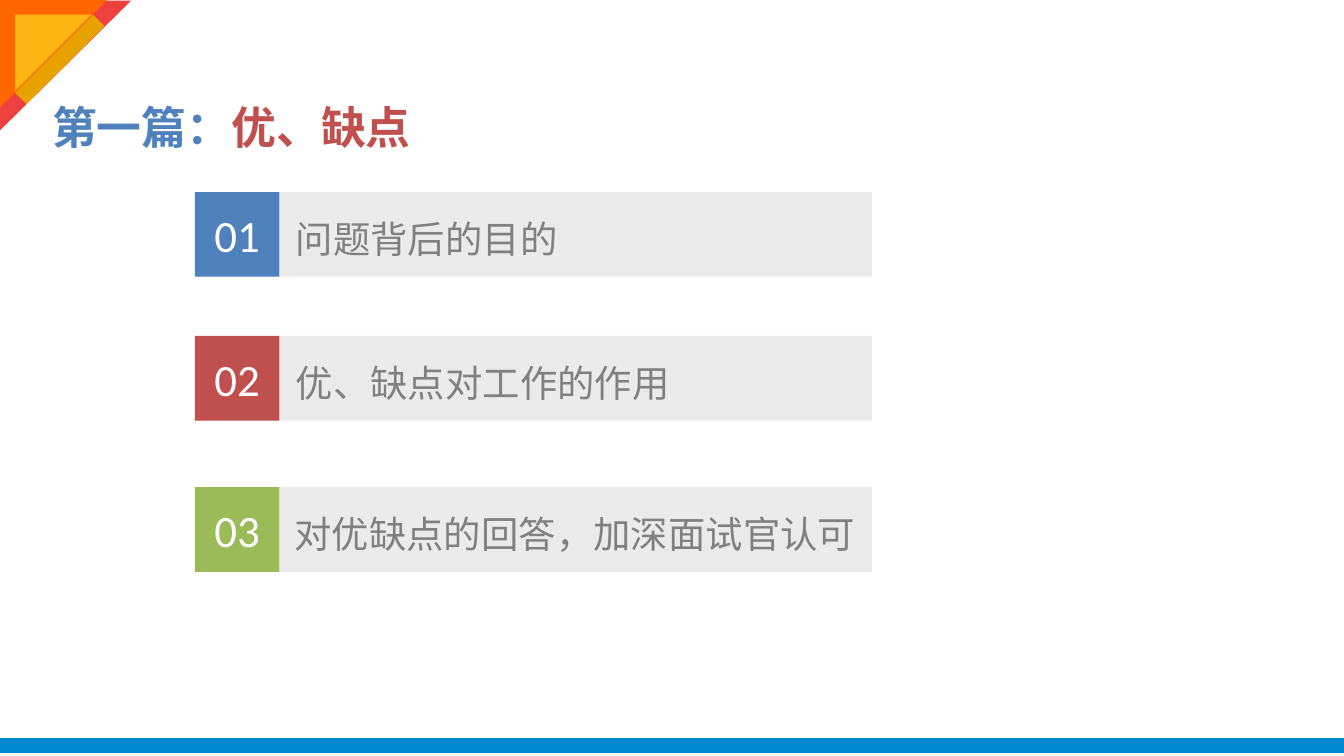
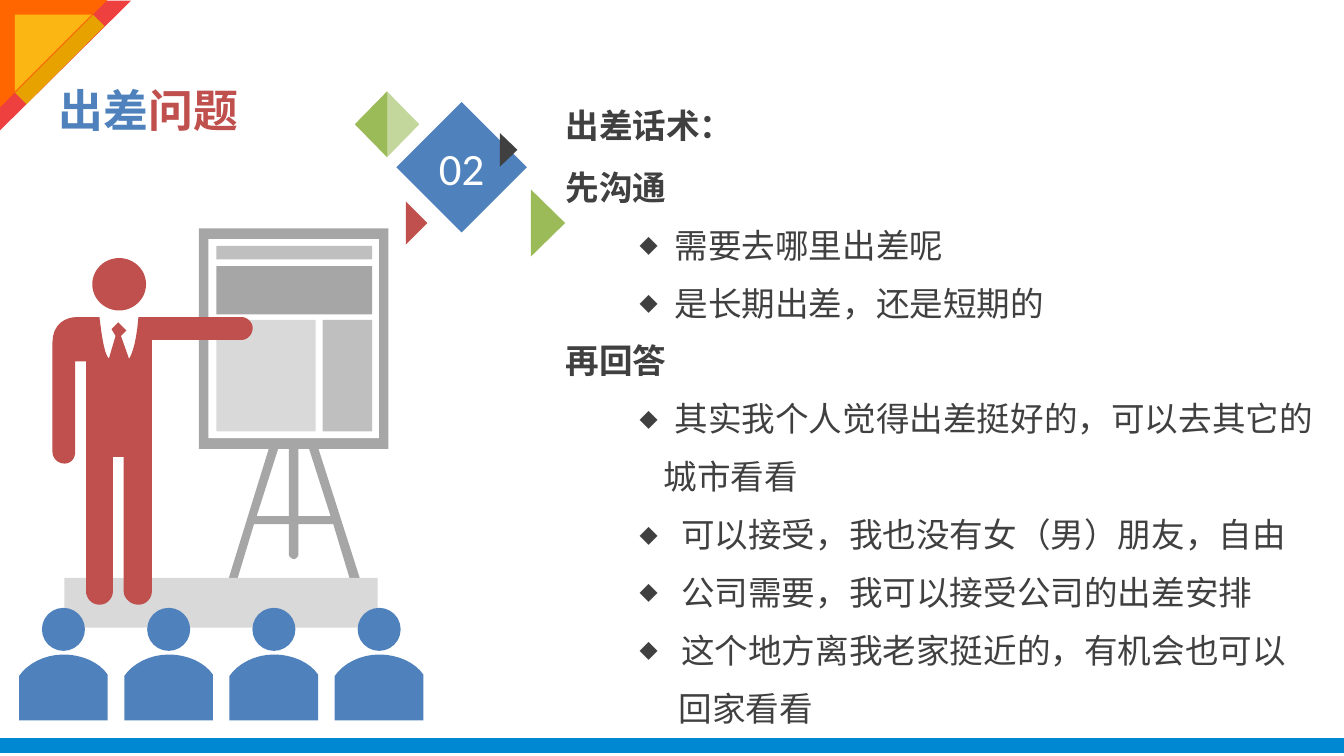
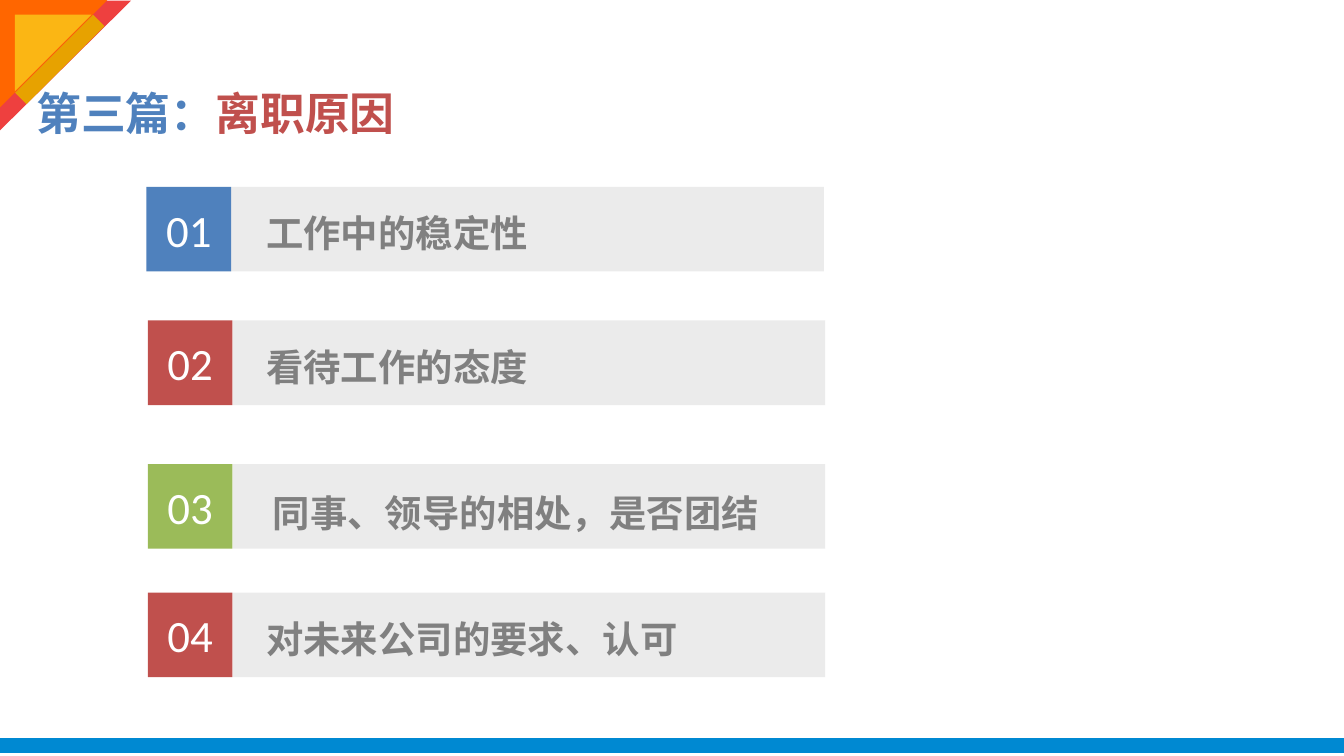
from lxml.etree import SubElement as Sub
from pptx import Presentation
from pptx.dml.color import RGBColor
from pptx.enum.shapes import MSO_SHAPE as Kind
from pptx.enum.text import MSO_ANCHOR as Anchor, MSO_AUTO_SIZE as Fit, PP_ALIGN as Align
from pptx.oxml.ns import qn
from pptx.util import Inches, Pt

COLS, ROWS = 100, 56.25
CELL = Inches(10) / COLS
BLUE, RED, GREEN, LIME = "4F81BD", "C0504D", "9BBB59", "C3D69B"
DARK, GRAY, STEEL, SILVER, PALE = "404040", "808080", "A6A6A6", "BFBFBF", "D9D9D9"
WHITE = "FFFFFF"
HAN, LATIN, HEAD = "Noto Sans CJK SC", "Calibri", "Roboto Condensed"


def paint(hue):
    return RGBColor.from_string(hue)


def grid(*cells):
    return [round(cell * CELL) for cell in cells]


def say(para, text, size=20, face=HAN, hue=GRAY, bold=False):
    run = para.add_run()
    run.text = text
    font = run.font
    font.size, font.name, font.bold = Pt(size), face, bold
    font.color.rgb = paint(hue)
    Sub(run._r.get_or_add_rPr(), qn("a:ea"), typeface=face)


def bend(start, curve, steps=8):
    points = [start, curve[0:2], curve[2:4], curve[4:6]]
    for step in range(1, steps + 1):
        t = step / steps
        parts = ((1 - t) ** 3, 3 * t * (1 - t) ** 2, 3 * t * t * (1 - t), t ** 3)
        yield tuple(sum(w * p[axis] for w, p in zip(parts, points)) for axis in (0, 1))


def trace(marks):
    spots = [marks[0]]
    for mark in marks[1:]:
        spots.extend(bend(spots[-1], mark) if len(mark) == 6 else [mark])
    return [tuple(grid(*spot)) for spot in spots]


class Deck:
    def __init__(self):
        self.show = Presentation()
        self.show.slide_width, self.show.slide_height = grid(COLS, ROWS)

    def page(self):
        self.slide = self.show.slides.add_slide(self.show.slide_layouts[6])
        self.shapes = self.slide.shapes
        self.block(0, 54.93, COLS, 1.1, "0089D2")
        for edge, wide, tall, hue in ((0, 9.7, 9.8, "EE403F"), (0, 8, 8, "FF6600"),
                                      (1.1, 5.7, 5.7, "FBB614")):
            self.block(edge, edge, wide, tall, hue, Kind.RIGHT_TRIANGLE, turn=90)
        self.block(3.85, 0.33, 1.2, 8.2, "E7A200", turn=45)

    def style(self, shape, hue):
        shape.shadow.inherit = False
        shape.fill.solid()
        shape.fill.fore_color.rgb = paint(hue)
        shape.line.fill.background()
        return shape

    def block(self, x, y, wide, tall, hue, kind=Kind.RECTANGLE, turn=0, clear=None):
        shape = self.style(self.shapes.add_shape(kind, *grid(x, y, wide, tall)), hue)
        shape.rotation = turn
        if clear:
            tint = next(shape._element.spPr.iter(qn("a:srgbClr")))
            Sub(tint, qn("a:alpha"), val=str(clear * 1000))
        return shape

    def outline(self, hue, *loops):
        first, *rest = [trace(loop) for loop in loops]
        pen = self.shapes.build_freeform(*first[0])
        pen.add_line_segments(first[1:])
        for loop in rest:
            pen.move_to(*loop[0])
            pen.add_line_segments(loop[1:])
        return self.style(pen.convert_to_shape(), hue)

    def wedge(self, x, y, wide, half, hue):
        self.outline(hue, [(x, y), (x + wide, y + half), (x, y + 2 * half)])

    def box(self, x, y, wide, tall, wrap=True, inset=True):
        shape = self.shapes.add_textbox(*grid(x, y, wide, tall))
        frame = shape.text_frame
        frame.word_wrap, frame.auto_size = wrap, Fit.SHAPE_TO_FIT_TEXT
        if not inset:
            self.strip(frame)
        return frame

    def strip(self, frame):
        frame.margin_left = frame.margin_right = 0
        frame.margin_top = frame.margin_bottom = 0

    def title(self, lead, tail, *place, inset=True):
        para = self.box(*place, wrap=False, inset=inset).paragraphs[0]
        for text, hue in ((lead, BLUE), (tail, RED)):
            say(para, text, size=24, face=HEAD, hue=hue, bold=True)

    def badge(self, text, x, y, side, hue, kind=Kind.RECTANGLE):
        frame = self.block(x, y, side, side, hue, kind).text_frame
        self.strip(frame)
        frame.vertical_anchor = Anchor.MIDDLE
        para = frame.paragraphs[0]
        para.alignment = Align.CENTER
        say(para, text, size=24, face=LATIN, hue=WHITE)

    def topic(self, num, text, x, y, hue, wide, pad, drop=1.1, bold=False):
        side = 6.3
        self.block(x + side, y, 44.1, side, PALE, clear=50)
        self.badge(f"{num:02}", x, y, side, hue)
        frame = self.box(x + side, y + drop, wide, 3.8, inset=False)
        frame.margin_left = grid(pad)[0]
        para = frame.paragraphs[0]
        para.line_spacing = 1.2
        say(para, text, bold=bold)

    def line(self, para, text, left=0, hang=0, mark=False, lead=Pt(28), gap=3, bold=False):
        para.line_spacing, para.space_before = lead, Pt(gap)
        props = para._p.get_or_add_pPr()
        if left:
            para.level = 1
            margin, indent = grid(left, -hang)
            props.set("marL", str(margin))
            props.set("indent", str(indent))
        if mark:
            Sub(props, qn("a:buSzPct"), val="70000")
            Sub(props, qn("a:buFont"), typeface=LATIN)
            Sub(props, qn("a:buChar"), char="◆")
        say(para, text, size=18, hue=DARK, bold=bold)

    def easel(self):
        frame = [(28.9, 17), (14.8, 17), (14.8, 33.4), (20, 33.4), (17, 43.1),
                 (16.9, 43.2, 17, 43.4, 17.2, 43.5), (17.3, 43.5, 17.5, 43.4, 17.6, 43.3),
                 (18.9, 39), (21.5, 39), (21.5, 41.3),
                 (21.5, 41.4, 21.7, 41.6, 21.9, 41.6), (22, 41.6, 22.2, 41.4, 22.2, 41.3),
                 (22.2, 39), (24.8, 39), (26.1, 43.3),
                 (26.2, 43.4, 26.4, 43.5, 26.5, 43.5), (26.7, 43.4, 26.8, 43.2, 26.8, 43.1),
                 (23.7, 33.4), (28.9, 33.4)]
        self.outline(STEEL, frame,
                     [(19.1, 38.4), (20.7, 33.4), (21.5, 33.4), (21.5, 38.4)],
                     [(24.6, 38.4), (22.2, 38.4), (22.2, 33.4), (23, 33.4)])
        for panel in ((15.5, 17.8, 12.7, 14.8, WHITE), (16.1, 18.3, 11.6, 1, SILVER),
                      (16.1, 19.8, 11.6, 3.6, STEEL), (16.1, 23.8, 7.4, 8.3, PALE),
                      (24, 23.8, 3.7, 8.3, SILVER), (4.8, 43, 23.3, 3.7, PALE)):
            self.block(*panel)

    def speaker(self):
        self.block(6.87, 19.2, 4, 3.9, RED, Kind.OVAL)
        self.outline(RED, [
            (18, 23.6), (10.3, 23.6), (10.1, 26.1, 9.6, 26.7, 9.6, 26.7),
            (9, 25), (9.4, 24.6), (8.8, 24), (8.3, 24.5), (8.6, 25), (8.1, 26.7),
            (7.7, 26.3, 7.5, 24.4, 7.4, 23.6), (5.7, 23.6),
            (4.9, 23.6, 3.9, 24.1, 3.9, 25.5), (3.9, 33.6),
            (3.9, 34.1, 4.3, 34.5, 4.8, 34.5), (5.3, 34.5, 5.6, 34.1, 5.6, 33.6),
            (5.6, 26.9), (6.4, 26.9), (6.4, 44),
            (6.4, 44.5, 6.8, 45, 7.4, 45), (8, 45, 8.4, 44.5, 8.4, 44),
            (8.4, 34), (9.2, 34), (9.2, 44),
            (9.2, 44.5, 9.7, 45, 10.3, 45), (10.9, 45, 11.3, 44.5, 11.3, 44),
            (11.3, 25.3), (18, 25.3),
            (18.4, 25.3, 18.8, 24.9, 18.8, 24.4), (18.8, 24, 18.4, 23.6, 18, 23.6)])

    def crowd(self, count, step=7.83):
        for seat in range(count):
            x = 1.42 + seat * step
            self.block(x + 1.7, 45.23, 3.2, 3.2, BLUE, Kind.OVAL)
            self.outline(BLUE, [
                (x + 3.3, 48.7), (x + 1.9, 48.7, x + 0.6, 49.4, x, 50.3), (x, 53.6),
                (x + 6.6, 53.6), (x + 6.6, 50.2), (x + 6, 49.3, x + 4.7, 48.7, x + 3.3, 48.7)])

    def gems(self):
        self.badge("02", 29.5, 7.6, 9.7, BLUE, Kind.DIAMOND)
        for gem in ((30.2, 15, 1.6, 1.6, RED), (37.2, 9.9, 1.3, 1.25, DARK),
                    (28.8, 6.8, 2.4, 2.45, LIME), (39.5, 14.1, 2.55, 2.5, GREEN),
                    (28.8, 6.8, -2.4, 2.45, GREEN)):
            self.wedge(*gem)


def main():
    deck = Deck()

    deck.page()
    for num, (text, y, hue, wide, pad) in enumerate((
            ("问题背后的目的", 14.3, BLUE, 46.1, 1.2),
            ("优、缺点对工作的作用", 25, RED, 40.9, 1.2),
            ("对优缺点的回答，加深面试官认可", 36.25, GREEN, 46.1, 1.1)), 1):
        deck.topic(num, text, 14.5, y, hue, wide, pad)
    deck.title("第一篇：", "优、缺点", 2.9, 6.9, 28.9, 5)

    deck.page()
    deck.title("出差", "问题", 3.4, 5.7, 15.5, 5)
    deck.easel()
    deck.speaker()
    deck.crowd(4)
    deck.gems()
    ask = dict(left=8.1, hang=2.6, mark=True)
    reply = dict(left=8.6, hang=3.1, mark=True)
    frame = deck.box(41.1, 4.3, 62.5, 50.4)
    for spot, (text, form) in enumerate((
            ("出差话术：", dict(lead=2.0, gap=0, bold=True)),
            ("先沟通", dict(lead=1.4, bold=True)),
            ("需要去哪里出差呢", ask),
            ("是长期出差，还是短期的", ask),
            ("再回答", dict(bold=True)),
            ("其实我个人觉得出差挺好的，可以去其它的", ask),
            ("城市看看", dict(left=7.3)),
            ("可以接受，我也没有女（男）朋友，自由", reply),
            ("公司需要，我可以接受公司的出差安排", reply),
            ("这个地方离我老家挺近的，有机会也可以", reply),
            ("回家看看", dict(left=8.4)))):
        para = frame.add_paragraph() if spot else frame.paragraphs[0]
        deck.line(para, text, **form)

    deck.page()
    deck.title("第三篇：", "离职原因", 2.7, 6.4, 26.9, 4, inset=False)
    for num, (text, x, y, hue, wide, pad, drop) in enumerate((
            ("工作中的稳定性", 10.9, 13.9, BLUE, 46.1, 2.6, 1.1),
            ("看待工作的态度", 11, 23.85, RED, 40.9, 2.5, 1.1),
            ("同事、领导的相处，是否团结", 11, 34.53, GREEN, 44.4, 3, 1.25),
            ("对未来公司的要求、认可", 11, 44.1, RED, 40.9, 2.5, 1.1)), 1):
        deck.topic(num, text, x, y, hue, wide, pad, drop, bold=True)

    deck.show.save("out.pptx")


if __name__ == "__main__":
    main()
